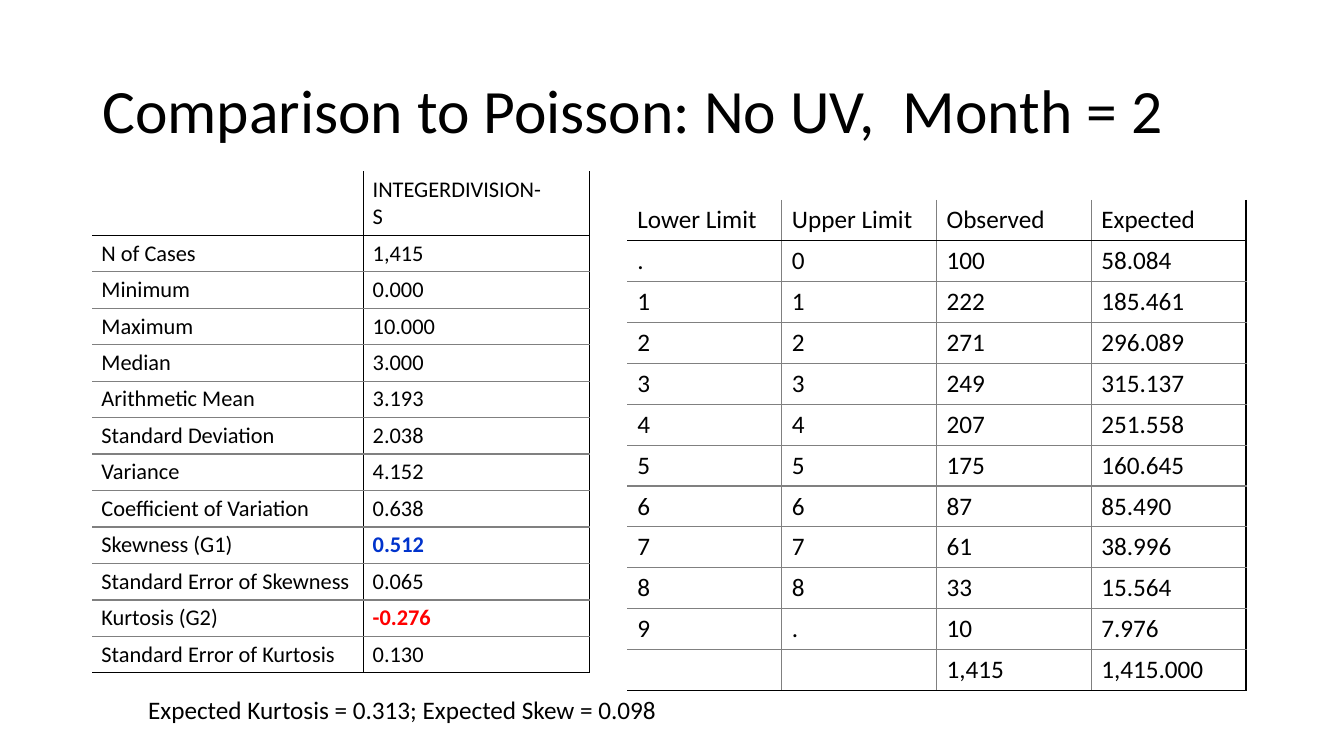
from lxml.etree import SubElement
from pptx import Presentation
from pptx.dml.color import RGBColor
from pptx.enum.text import MSO_ANCHOR, MSO_AUTO_SIZE, PP_ALIGN
from pptx.oxml.ns import qn
from pptx.util import Pt

FACE = "Calibri"
HUES = {"black": "000000", "gray": "808080", "blue": "0033CC", "red": "FF0000"}
MARKS = {"0.512": "blue", "-0.276": "red"}

stats = [
    ("", "INTEGERDIVISION-\nS"),
    ("N of Cases", "1,415"),
    ("Minimum", "0.000"),
    ("Maximum", "10.000"),
    ("Median", "3.000"),
    ("Arithmetic Mean", "3.193"),
    ("Standard Deviation", "2.038"),
    ("Variance", "4.152"),
    ("Coefficient of Variation", "0.638"),
    ("Skewness (G1)", "0.512"),
    ("Standard Error of Skewness", "0.065"),
    ("Kurtosis (G2)", "-0.276"),
    ("Standard Error of Kurtosis", "0.130"),
]
counts = [
    ("Lower Limit", "Upper Limit", "Observed", "Expected"),
    (".", "0", "100", "58.084"),
    ("1", "1", "222", "185.461"),
    ("2", "2", "271", "296.089"),
    ("3", "3", "249", "315.137"),
    ("4", "4", "207", "251.558"),
    ("5", "5", "175", "160.645"),
    ("6", "6", "87", "85.490"),
    ("7", "7", "61", "38.996"),
    ("8", "8", "33", "15.564"),
    ("9", ".", "10", "7.976"),
    ("", "", "1,415", "1,415.000"),
]


def style(para, size, hue="black", bold=False):
    para.alignment = PP_ALIGN.LEFT
    para.font.name = FACE
    para.font.size = Pt(size)
    para.font.bold = bold
    para.font.color.rgb = RGBColor.from_string(HUES[hue])


def border(cell, sides):
    props = cell._tc.get_or_add_tcPr()
    for side, hue in sides.items():
        line = SubElement(props, qn(f"a:ln{side}"), w=str(Pt(1)))
        if hue:
            fill = SubElement(line, qn("a:solidFill"))
            SubElement(fill, qn("a:srgbClr"), val=HUES[hue])
        else:
            SubElement(line, qn("a:noFill"))


deck = Presentation()
deck.slide_width, deck.slide_height = Pt(960), Pt(540)
slide = deck.slides.add_slide(deck.slide_layouts[5])

title = slide.shapes.title
title.left, title.top, title.width, title.height = Pt(66), Pt(28.75), Pt(828), Pt(104.4)
frame = title.text_frame
frame.auto_size = MSO_AUTO_SIZE.NONE
frame.vertical_anchor = MSO_ANCHOR.MIDDLE
frame.text = "Comparison to Poisson: No UV,  Month = 2"
frame.paragraphs[0].line_spacing = 0.9
style(frame.paragraphs[0], 44)

grids = [
    (stats, 66, 122.4, [193.75, 161.25], 37.5, 21.6, 16, 6.5, 3.25, "black"),
    (counts, 448, 142.75, [110.5] * 4, 28.75, 28.75, 18, 7.2, 3.6, "gray"),
]
for data, left, top, widths, head, step, size, side, edge, inner in grids:
    last, end = len(data) - 1, len(widths) - 1
    tall = head + step * last
    table = slide.shapes.add_table(
        len(data), len(widths), Pt(left), Pt(top), Pt(sum(widths)), Pt(tall)
    ).table
    table.first_row = table.horz_banding = False
    for column, width in zip(table.columns, widths):
        column.width = Pt(width)
    for i, values in enumerate(data):
        table.rows[i].height = Pt(step if i else head)
        for j, value in enumerate(values):
            cell = table.cell(i, j)
            cell.margin_left = cell.margin_right = Pt(side)
            cell.margin_top = cell.margin_bottom = Pt(edge)
            border(cell, {
                "L": inner if j else None,
                "R": "black" if j == end else inner,
                "T": (None, "black")[i] if i < 2 else "gray",
                "B": "black" if i in (0, last) else "gray",
            })
            cell.fill.background()
            para = cell.text_frame.paragraphs[0]
            para.text = value
            style(para, size, MARKS.get(value, "black"), value in MARKS)

note = slide.shapes.add_textbox(Pt(98.75), Pt(492.5), Pt(381.5), Pt(29))
frame = note.text_frame
frame.word_wrap = False
frame.auto_size = MSO_AUTO_SIZE.SHAPE_TO_FIT_TEXT
frame.text = "Expected Kurtosis = 0.313; Expected Skew = 0.098"
style(frame.paragraphs[0], 18)

deck.save("out.pptx")
